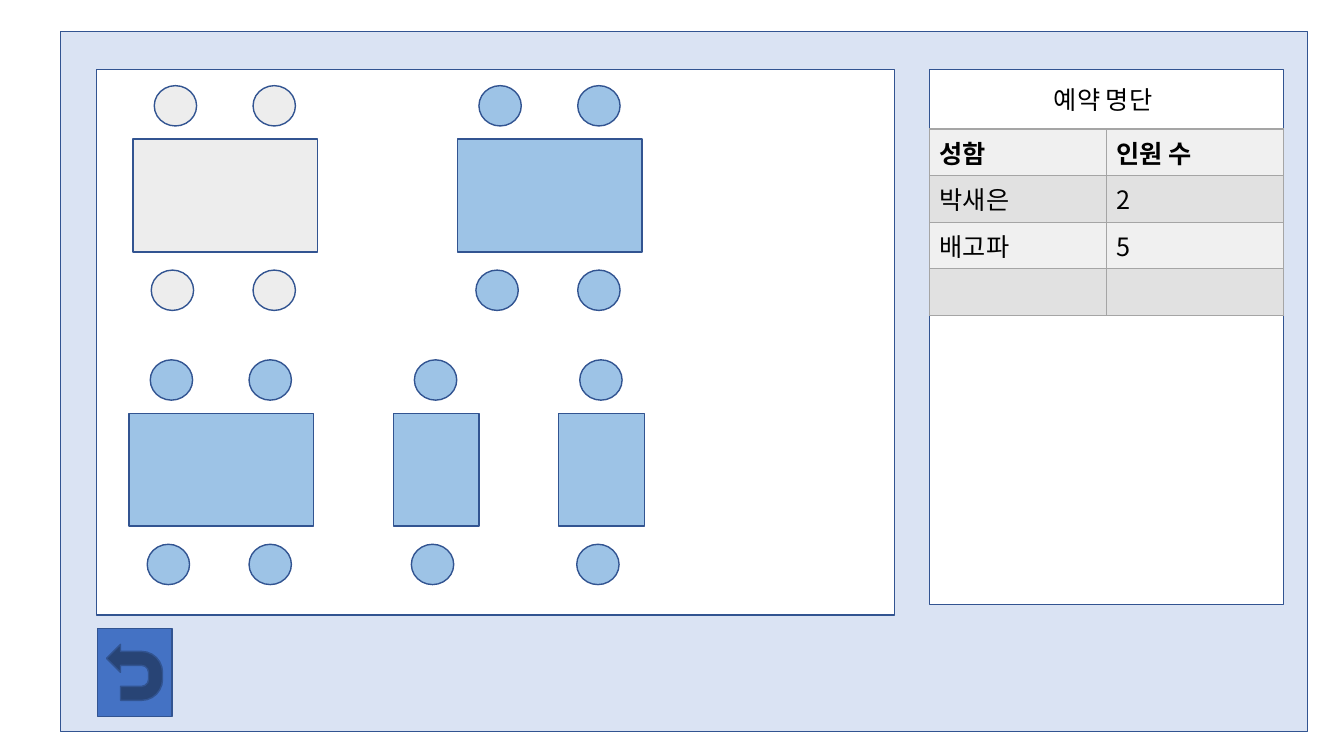
import pptx
import pptx.dml.color
import pptx.enum.shapes
import pptx.enum.text
import pptx.oxml.ns
import pptx.util
import lxml.etree

Inches = pptx.util.Inches
Shape = pptx.enum.shapes.MSO_SHAPE

# Content
TITLE = "예약 명단"
RESERVATIONS = [("성함", "인원 수"), ("박새은", "2"), ("배고파", "5"), ("", "")]
FONT = {"name": "Noto Sans CJK KR", "size": pptx.util.Pt(18)}
COLORS = {
    "backdrop": "DAE3F3", "panel": "FFFFFF", "outline": "325491", "button": "4472C4",
    "taken": "EDEDED", "free": "9DC3E6", "text": "000000",
    "border": "A5A5A5", "odd row": "F0F0F0", "even row": "E1E1E1",
}

# Layout in inches
PANELS = [
    ("backdrop", 0.6, 0.31, 12.37, 6.95),
    ("panel", 9.22, 0.69, 3.51, 5.31),
    ("panel", 0.96, 0.69, 7.91, 5.41),
]
# left, top, seats per side, state
DINING_TABLES = [
    (1.32, 1.38, 2, "taken"),
    (4.54, 1.38, 2, "free"),
    (1.28, 4.1, 2, "free"),
    (3.9, 4.1, 1, "free"),
    (5.54, 4.1, 1, "free"),
]
TABLE_WIDTHS = {1: 0.85, 2: 1.83}
TABLE_HEIGHT = 1.12
CHAIR_SIZE = (0.42, 0.4)
# vertical offset from the table top, horizontal offsets from its left
CHAIR_ROWS = [(-0.53, (0.21, 1.19)), (1.3, (0.18, 1.19))]
ROW_HEIGHT = 0.46


def rgb(name):
    return pptx.dml.color.RGBColor.from_string(COLORS[name])


def add_figure(slide, kind, color, left, top, width, height):
    shape = slide.shapes.add_shape(
        kind, Inches(left), Inches(top), Inches(width), Inches(height))
    shape.shadow.inherit = False
    shape.fill.solid()
    shape.fill.fore_color.rgb = rgb(color)
    shape.line.color.rgb = rgb("outline")
    shape.line.width = pptx.util.Pt(1)
    return shape


def write_text(paragraph, text, bold=False):
    run = paragraph.add_run()
    run.text = text
    for name, value in {**FONT, "bold": bold}.items():
        setattr(run.font, name, value)
    run.font.color.rgb = rgb("text")
    east_asian = lxml.etree.SubElement(
        run.font._element, pptx.oxml.ns.qn("a:ea"))
    east_asian.set("typeface", FONT["name"])


def add_borders(cell):
    properties = cell._tc.get_or_add_tcPr()
    for side in ("a:lnL", "a:lnR", "a:lnT", "a:lnB"):
        line = lxml.etree.SubElement(
            properties, pptx.oxml.ns.qn(side), w=str(pptx.util.Pt(1)))
        fill = lxml.etree.SubElement(line, pptx.oxml.ns.qn("a:solidFill"))
        lxml.etree.SubElement(
            fill, pptx.oxml.ns.qn("a:srgbClr"), val=COLORS["border"])


def add_reservations(slide):
    frame = slide.shapes.add_table(
        len(RESERVATIONS), 2, Inches(9.22), Inches(1.28),
        Inches(3.51), Inches(ROW_HEIGHT * len(RESERVATIONS)))
    table = frame.table
    table.first_row = table.horz_banding = False
    for row, values in enumerate(RESERVATIONS):
        for column, text in enumerate(values):
            cell = table.cell(row, column)
            add_borders(cell)
            cell.fill.solid()
            cell.fill.fore_color.rgb = rgb("even row" if row % 2 else "odd row")
            if text:
                write_text(cell.text_frame.paragraphs[0], text, bold=row == 0)


def add_dining_table(slide, left, top, seats, state):
    add_figure(slide, Shape.RECTANGLE, state, left, top,
               TABLE_WIDTHS[seats], TABLE_HEIGHT)
    for down, offsets in CHAIR_ROWS:
        for across in offsets[:seats]:
            add_figure(slide, Shape.FLOWCHART_CONNECTOR, state,
                       left + across, top + down, *CHAIR_SIZE)


def format_title(slide):
    title = slide.shapes.title
    box = {"left": 9.25, "top": 0.79, "width": 3.38, "height": 0.4}
    for name, value in box.items():
        setattr(title, name, Inches(value))
    frame_format = {
        "word_wrap": True,
        "auto_size": pptx.enum.text.MSO_AUTO_SIZE.NONE,
        "vertical_anchor": pptx.enum.text.MSO_ANCHOR.MIDDLE,
    }
    for name, value in frame_format.items():
        setattr(title.text_frame, name, value)
    paragraph = title.text_frame.paragraphs[0]
    paragraph.alignment = pptx.enum.text.PP_ALIGN.CENTER
    write_text(paragraph, TITLE)
    # Bring the title in front of its panel
    slide.shapes._spTree.append(title._element)


def main():
    presentation = pptx.Presentation()
    presentation.slide_width = Inches(13.33)
    presentation.slide_height = Inches(7.5)
    slide = presentation.slides.add_slide(presentation.slide_layouts[5])

    # Backdrop, list panel and floor plan
    for color, *box in PANELS:
        add_figure(slide, Shape.RECTANGLE, color, *box)

    # Reservation list
    add_reservations(slide)
    format_title(slide)

    # Tables with their chairs
    for dining_table in DINING_TABLES:
        add_dining_table(slide, *dining_table)

    # Back button
    button = add_figure(slide, Shape.ACTION_BUTTON_RETURN, "button",
                        0.9, 6.3, 0.87, 0.74)
    button.rotation = 270

    presentation.save("out.pptx")


if __name__ == "__main__":
    main()
